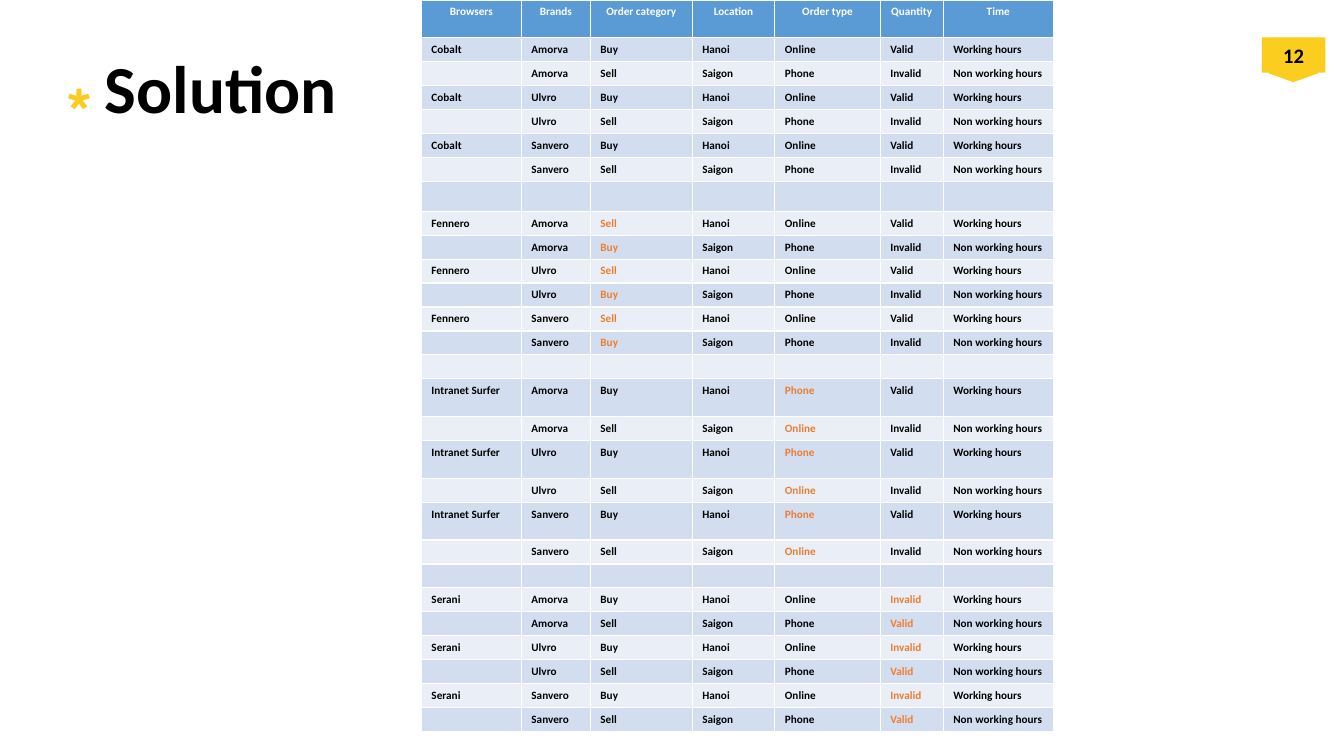
from lxml.etree import SubElement
from pptx import Presentation
from pptx.dml.color import RGBColor
from pptx.enum.shapes import MSO_SHAPE
from pptx.enum.text import MSO_ANCHOR, PP_ALIGN
from pptx.oxml.ns import qn
from pptx.util import Pt


def paint(target, color):
    target.solid()
    target.fore_color.rgb = RGBColor.from_string(color)


def write(frame, text, size, color, align=PP_ALIGN.LEFT, font="Calibri"):
    frame.text = text
    para = frame.paragraphs[0]
    para.alignment = align
    for span in para.runs:
        span.font.name = font
        span.font.size = Pt(size)
        span.font.bold = True
        paint(span.font.fill, color)


BLACK, WHITE, YELLOW, ORANGE = "000000", "FFFFFF", "FACD1F", "ED7D31"
HEADER_BLUE, BANDS = "5B9BD5", ("EAEFF7", "D2DEEF")

deck = Presentation()
deck.slide_width, deck.slide_height = Pt(960), Pt(540)
page = deck.slides.add_slide(deck.slide_layouts[5])

title = page.shapes.title
title.left, title.top, title.width, title.height = Pt(67.7), Pt(36), Pt(762), Pt(59)
write(title.text_frame, "Solution", 48, BLACK)
title.text_frame.vertical_anchor = MSO_ANCHOR.MIDDLE
title.text_frame.paragraphs[0].line_spacing = 0.9

star = page.shapes.add_textbox(Pt(39), Pt(43.2), Pt(49), Pt(72))
star.text_frame.word_wrap = True
write(star.text_frame, "*", 53.3, "FACC21", font="League Spartan")

ribbon = page.shapes.add_shape(MSO_SHAPE.FLOWCHART_OFFPAGE_CONNECTOR, Pt(906.5), Pt(27.4), Pt(34.6), Pt(31))
number = page.shapes.add_shape(MSO_SHAPE.RECTANGLE, Pt(901.4), Pt(26.7), Pt(45.4), Pt(25.2))
for badge in (ribbon, number):
    badge.shadow.inherit = False
    paint(badge.fill, YELLOW)
paint(ribbon.line.fill, YELLOW)
ribbon.line.width = Pt(0.5)
number.line.fill.background()
write(number.text_frame, "12", 14.7, BLACK, PP_ALIGN.CENTER)

headers = ["Browsers", "Brands", "Order category", "Location", "Order type", "Quantity", "Time"]
column_widths = [71.4, 49.3, 72.8, 59, 75.3, 45, 78.7]
brands = ["Amorva", "Ulvro", "Sanvero"]
choices = [("Buy", "Sell"), ("Hanoi", "Saigon"), ("Online", "Phone"),
           ("Valid", "Invalid"), ("Working hours", "Non working hours")]
browsers = [("Cobalt", None, 17.1), ("Fennero", 2, 17.1),
            ("Intranet Surfer", 4, 27), ("Serani", 5, 17.1)]

rows = [(headers, None, 27)]
for browser, swapped, first_height in browsers:
    if len(rows) > 1:
        rows.append(([""] * len(headers), None, 21.4 if swapped == 2 else 17.1))
    for brand in brands:
        for turn, height in enumerate((first_height, 17.1)):
            picks = [pair[1 - turn if column == swapped else turn]
                     for column, pair in enumerate(choices, 2)]
            rows.append((["" if turn else browser, brand] + picks, swapped, height))

table = page.shapes.add_table(len(rows), len(headers), Pt(301), Pt(0), Pt(451.5), Pt(522.7)).table
for column, width in enumerate(column_widths):
    table.columns[column].width = Pt(width)
for index, (values, swapped, height) in enumerate(rows):
    table.rows[index].height = Pt(height)
    for column, value in enumerate(values):
        cell = table.cell(index, column)
        if index == 0:
            paint(cell.fill, HEADER_BLUE)
            write(cell.text_frame, value, 8, WHITE, PP_ALIGN.CENTER)
        else:
            paint(cell.fill, BANDS[index % 2])
            write(cell.text_frame, value, 8, ORANGE if column == swapped else BLACK)
        if not value:
            SubElement(cell.text_frame.paragraphs[0]._p, qn("a:endParaRPr"), sz="800")

deck.save("out.pptx")
